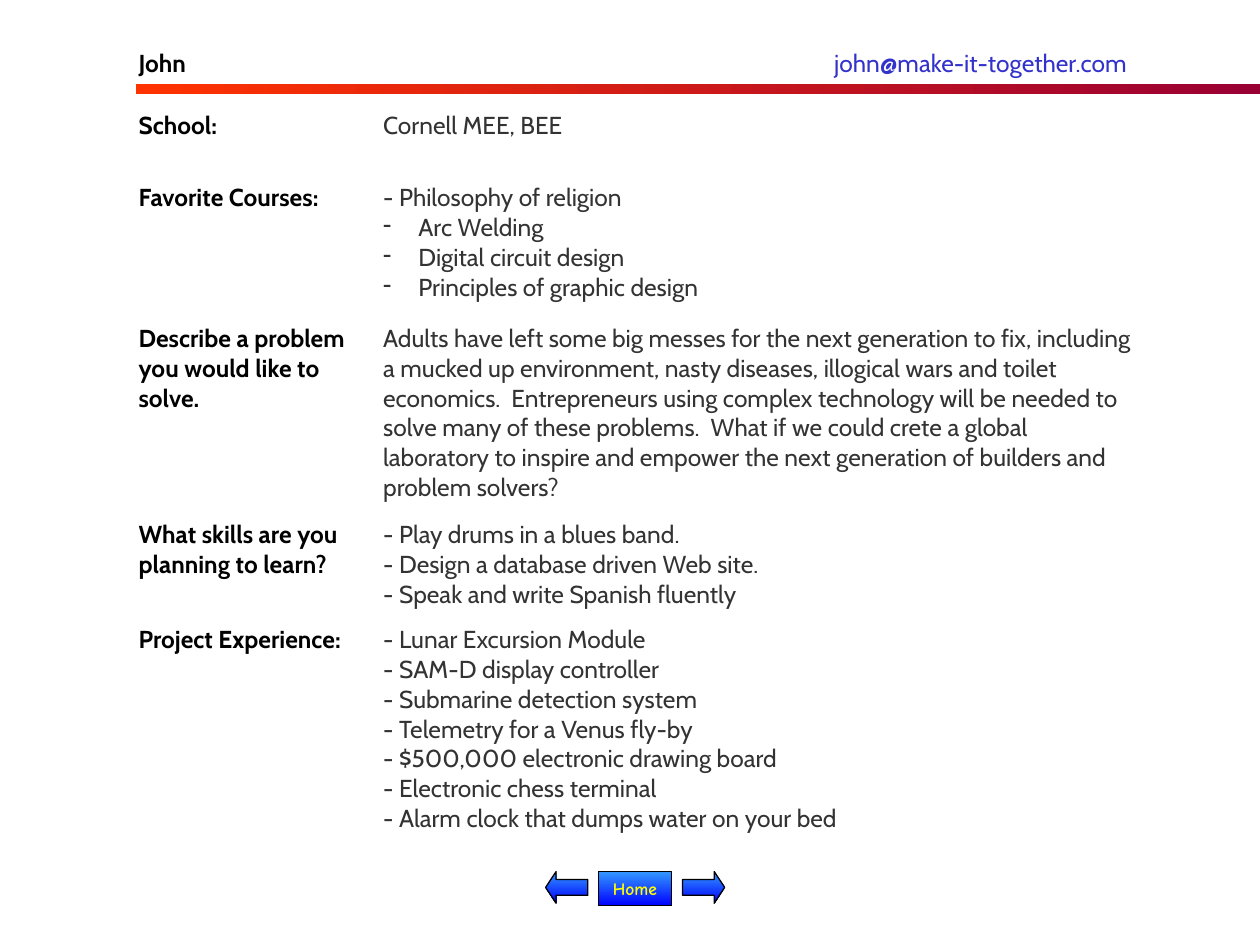
import typing

import lxml.etree
import pptx
import pptx.dml.color
import pptx.enum.shapes
import pptx.enum.text
import pptx.oxml.ns
import pptx.util

Cm = pptx.util.Cm
Pt = pptx.util.Pt
Kind = pptx.enum.shapes.MSO_SHAPE

BLUES = ("3399FF", "0000FF")
HEAD = {"name": "Cabin", "size": Pt(14), "bold": True, "color": "000000"}
BODY = HEAD | {"bold": False, "color": "333333"}
LINK = BODY | {"color": "3333CC"}
BUTTON = {"name": "Comic Neue", "size": Pt(10), "bold": True, "color": "FFFF00"}


class Row(typing.NamedTuple):
    label: str
    height: float
    lines: list[str]
    bullets: range = range(0)


class Block(typing.NamedTuple):
    kind: int
    left: float
    top: float
    width: float
    height: float
    tones: tuple[str, str]
    angle: int
    edge: str = ""
    text: str = ""


ROWS = [
    Row("School:", 1.45, ["Cornell MEE, BEE"]),
    Row("Favorite Courses:", 2.84, [
        "- Philosophy of religion", "Arc Welding",
        "Digital circuit design", "Principles of graphic design",
    ], range(1, 4)),
    Row("Describe a problem you would like to solve.", 3.96, [
        "Adults have left some big messes for the next generation to fix, "
        "including a mucked up environment, nasty diseases, illogical wars "
        "and toilet economics.  Entrepreneurs using complex technology will "
        "be needed to solve many of these problems.  What if we could crete "
        "a global laboratory to inspire and empower the next generation of "
        "builders and problem solvers?",
    ]),
    Row("What skills are you planning to learn?", 2.11, [
        "- Play drums in a blues band.",
        "- Design a database driven Web site.",
        "- Speak and write Spanish fluently",
    ]),
    Row("Project Experience:", 4.42, [
        "- Lunar Excursion Module", "- SAM-D display controller",
        "- Submarine detection system", "- Telemetry for a Venus fly-by",
        "- $500,000 electronic drawing board", "- Electronic chess terminal",
        "- Alarm clock that dumps water on your bed",
    ]),
]

BLOCKS = [
    Block(Kind.RECTANGLE, 2.74, 1.7, 22.66, 0.2, ("FF3300", "990033"), 0),
    Block(Kind.RIGHT_ARROW, 13.76, 17.57, 0.85, 0.64, BLUES, 270, "000000"),
    Block(Kind.RECTANGLE, 12.06, 17.57, 1.48, 0.69, BLUES, 270, "000000", "Home"),
    Block(Kind.LEFT_ARROW, 11.0, 17.57, 0.85, 0.64, BLUES, 270, "000000"),
]


def tint(code: str) -> pptx.dml.color.RGBColor:
    return pptx.dml.color.RGBColor.from_string(code)


def write(para, text: str, style: dict) -> None:
    run = para.add_run()
    run.text = text
    for key, value in style.items():
        if key == "color":
            run.font.color.rgb = tint(value)
        else:
            setattr(run.font, key, value)


def add_xml(parent, tag: str, **attrs: str):
    node = lxml.etree.SubElement(parent, pptx.oxml.ns.qn(tag))
    for key, value in attrs.items():
        node.set(key, value)
    return node


def add_dash(para) -> None:
    props = para._p.get_or_add_pPr()
    props.set("marL", str(Cm(0.71)))
    props.set("indent", str(-Cm(0.71)))
    add_xml(add_xml(props, "a:buClr"), "a:srgbClr", val=BODY["color"])
    add_xml(props, "a:buChar", char="-")


def draw_title(slide) -> None:
    title = slide.shapes.title
    place = {"left": 2.54, "top": 0.84, "width": 21.01, "height": 1.45}
    for key, value in place.items():
        setattr(title, key, Cm(value))
    frame = title.text_frame
    frame.auto_size = pptx.enum.text.MSO_AUTO_SIZE.NONE
    frame.vertical_anchor = pptx.enum.text.MSO_ANCHOR.TOP
    para = frame.paragraphs[0]
    para.alignment = pptx.enum.text.PP_ALIGN.LEFT
    # One tab stop sets the place of the address
    tabs = add_xml(para._p.get_or_add_pPr(), "a:tabLst")
    add_xml(tabs, "a:tab", pos=str(Cm(14.02)), algn="l")
    write(para, "John\t", HEAD)
    write(para, "john@make-it-together.com", LINK)


def draw_block(slide, block: Block) -> None:
    shape = slide.shapes.add_shape(
        block.kind, *map(Cm, (block.left, block.top, block.width, block.height)))
    shape.shadow.inherit = False
    shape.fill.gradient()
    shape.fill.gradient_angle = block.angle
    for stop, tone in zip(shape.fill.gradient_stops, block.tones):
        stop.color.rgb = tint(tone)
    if block.edge:
        shape.line.color.rgb = tint(block.edge)
        shape.line.width = Pt(0.75)
    else:
        shape.line.fill.background()
    if block.kind != Kind.RECTANGLE:
        shape.adjustments[0] = 0.5
        shape.adjustments[1] = 0.33
    if block.text:
        para = shape.text_frame.paragraphs[0]
        para.alignment = pptx.enum.text.PP_ALIGN.CENTER
        write(para, block.text, BUTTON)


def fill_cell(cell, lines: list[str], style: dict, bullets: range = range(0)) -> None:
    cell.fill.background()
    frame = cell.text_frame
    for num, line in enumerate(lines):
        para = frame.add_paragraph() if num else frame.paragraphs[0]
        if num in bullets:
            add_dash(para)
        write(para, line, style)


def draw_table(slide, rows: list[Row]) -> None:
    high = sum(row.height for row in rows)
    table = slide.shapes.add_table(
        len(rows), 2, Cm(2.54), Cm(2.11), Cm(20.53), Cm(high)).table
    for flag in ("first_row", "horz_banding"):
        setattr(table, flag, False)
    for col, width in zip(table.columns, (4.93, 15.6)):
        col.width = Cm(width)
    for num, row in enumerate(rows):
        table.rows[num].height = Cm(row.height)
        fill_cell(table.cell(num, 0), [row.label], HEAD)
        fill_cell(table.cell(num, 1), row.lines, BODY, row.bullets)


def main() -> None:
    deck = pptx.Presentation()
    deck.slide_width, deck.slide_height = Cm(25.4), Cm(19.05)
    slide = deck.slides.add_slide(deck.slide_layouts[5])
    # Heading, then profile table
    draw_title(slide)
    draw_table(slide, ROWS)
    # Rule under the heading and page buttons
    for block in BLOCKS:
        draw_block(slide, block)
    deck.save("out.pptx")


if __name__ == "__main__":
    main()
